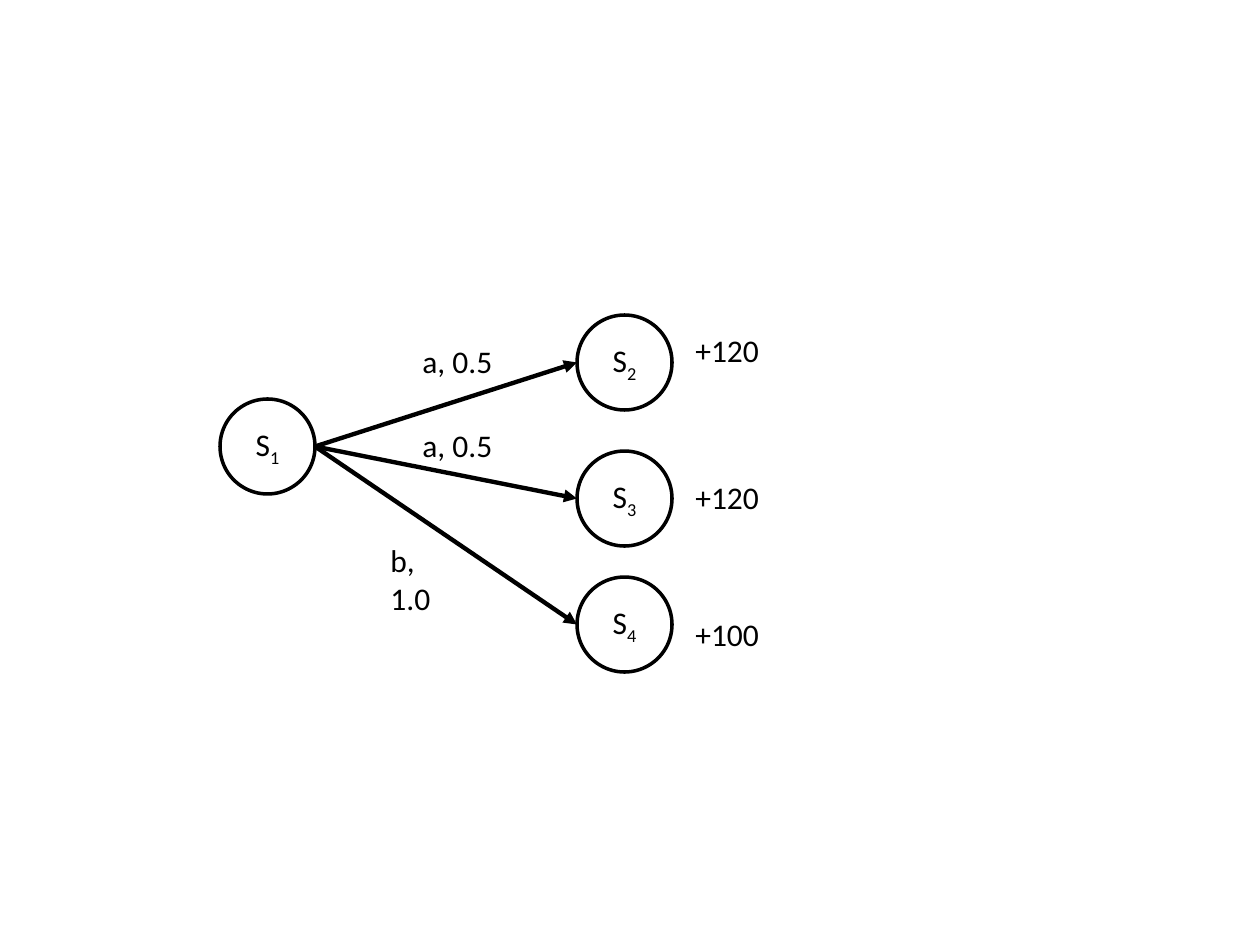
from lxml.etree import SubElement
from pptx import Presentation
from pptx.dml.color import RGBColor
from pptx.enum.shapes import MSO_CONNECTOR, MSO_SHAPE
from pptx.enum.text import MSO_ANCHOR, MSO_AUTO_SIZE, PP_ALIGN
from pptx.oxml.ns import qn
from pptx.util import Emu, Inches, Pt

BLACK = RGBColor(0x00, 0x00, 0x00)
FONT = "Calibri"
PIXELS_PER_INCH = 126
DIAMETER = 95
LABEL_HEIGHT = 50
START = (0, 84)
END_X = 357
REWARD_X = 463
BRANCHES = [
    {"number": 2, "top": 0, "action": "a, 0.5", "action_at": (190, 21),
     "reward": "+120", "reward_top": 10},
    {"number": 3, "top": 136, "action": "a, 0.5", "action_at": (190, 105),
     "reward": "+120", "reward_top": 157},
    {"number": 4, "top": 262, "action": "b, 1.0", "action_at": (158, 220),
     "reward": "+100", "reward_top": 294},
]


def px(length):
    """Turn picture pixels into EMU."""
    return Emu(round(length * Inches(1) / PIXELS_PER_INCH))


def write(paragraph, text, size=18, color=BLACK, baseline=None):
    """Add a formatted run of text to a paragraph."""
    run = paragraph.add_run()
    run.text = text
    run.font.name = FONT
    run.font.size = Pt(size)
    run.font.color.rgb = color
    if baseline is not None:
        run.font._element.set("baseline", str(baseline * 1000))


def add_state(slide, left, top, number):
    """Draw a state circle with its subscripted name."""
    state = slide.shapes.add_shape(
        MSO_SHAPE.OVAL, px(left), px(top), px(DIAMETER), px(DIAMETER))
    state.shadow.inherit = False
    state.fill.background()
    state.line.color.rgb = BLACK
    state.line.width = Pt(2)
    state.text_frame.vertical_anchor = MSO_ANCHOR.MIDDLE
    name = state.text_frame.paragraphs[0]
    name.alignment = PP_ALIGN.CENTER
    write(name, "S")
    write(name, str(number), baseline=-25)


def add_transition(slide, start, end):
    """Draw an arrow from one point to another."""
    transition = slide.shapes.add_connector(
        MSO_CONNECTOR.STRAIGHT, *(px(value) for value in (*start, *end)))
    transition.line.color.rgb = BLACK
    transition.line.width = Pt(2.5)
    SubElement(transition.line._get_or_add_ln(), qn("a:tailEnd"), type="triangle")
    SubElement(transition._element.spPr, qn("a:effectLst"))


def add_label(slide, left, top, width, text):
    """Place a single line of text."""
    label = slide.shapes.add_textbox(px(left), px(top), px(width), px(LABEL_HEIGHT))
    label.text_frame.word_wrap = False
    label.text_frame.auto_size = MSO_AUTO_SIZE.SHAPE_TO_FIT_TEXT
    write(label.text_frame.paragraphs[0], text)


def add_decision_tree(slide, left, top):
    """Draw the start state and its branches from the given corner."""
    radius = DIAMETER / 2
    start_x, start_y = left + START[0], top + START[1]
    add_state(slide, start_x, start_y, 1)
    for branch in BRANCHES:
        end_x, end_y = left + END_X, top + branch["top"]
        action_x, action_y = branch["action_at"]
        add_state(slide, end_x, end_y, branch["number"])
        add_transition(slide, (start_x + DIAMETER, start_y + radius),
                       (end_x, end_y + radius))
        add_label(slide, left + action_x, top + action_y, 96, branch["action"])
        add_label(slide, left + REWARD_X, top + branch["reward_top"], 89,
                  branch["reward"])


presentation = Presentation()
presentation.slide_width = Inches(10)
presentation.slide_height = Inches(7.5)
tree_slide = presentation.slides.add_slide(presentation.slide_layouts[6])
add_decision_tree(tree_slide, 220, 315)
presentation.save("out.pptx")
